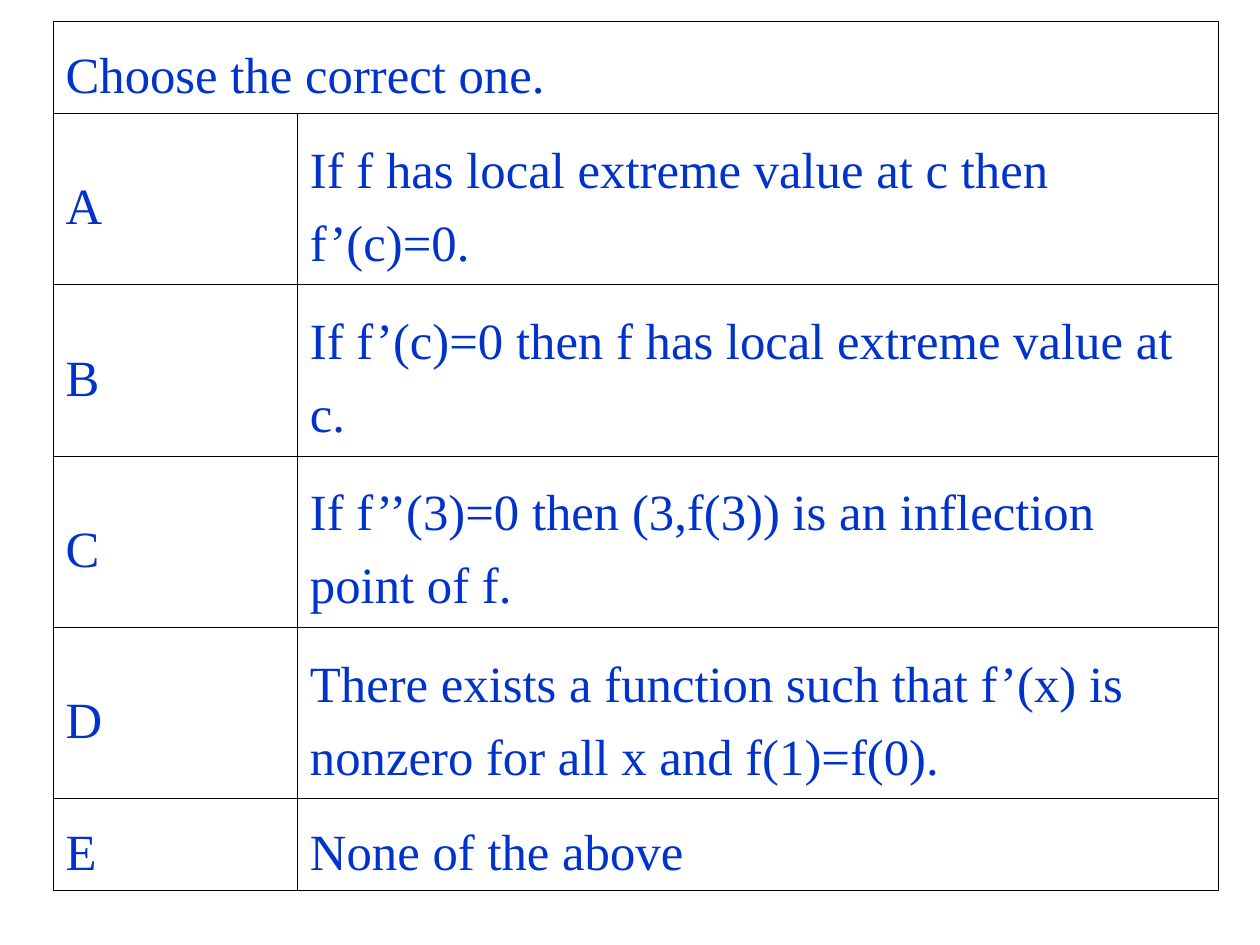
from typing import NamedTuple

from lxml.etree import SubElement
from pptx import Presentation
from pptx.dml.color import RGBColor
from pptx.enum.text import MSO_ANCHOR
from pptx.oxml.ns import qn
from pptx.util import Inches, Pt

BLUE = RGBColor(0x00, 0x33, 0xCC)
BLACK = RGBColor(0x00, 0x00, 0x00)
FONT = "Times New Roman"
FONT_SIZE = Pt(29)
LINE_SPACING = 1.3
BORDER_WIDTH = Pt(0.45)

LEFT, TOP = 0.42, 0.17
COLUMN_WIDTHS = (1.94, 7.31)
ONE_LINE, TWO_LINES = 0.73, 1.36


class Choice(NamedTuple):
    letter: str
    statement: str
    height: float = TWO_LINES


QUESTION = "Choose the correct one."
CHOICES = (
    Choice("A", "If f has local extreme value at c then f’(c)=0."),
    Choice("B", "If f’(c)=0 then f has local extreme value at c."),
    Choice("C", "If f’’(3)=0 then (3,f(3)) is an inflection point of f."),
    Choice("D", "There exists a function such that f’(x) is nonzero for all x and f(1)=f(0)."),
    Choice("E", "None of the above", ONE_LINE),
)


def add_borders(cell) -> None:
    """Outline all four sides; call before setting the fill, which must follow the lines."""
    tc_pr = cell._tc.get_or_add_tcPr()
    for side in ("a:lnL", "a:lnR", "a:lnT", "a:lnB"):
        ln = SubElement(tc_pr, qn(side), w=str(int(BORDER_WIDTH)))
        fill = SubElement(ln, qn("a:solidFill"))
        SubElement(fill, qn("a:srgbClr"), val=str(BLACK))


def format_cell(cell) -> None:
    add_borders(cell)
    cell.fill.background()
    cell.vertical_anchor = MSO_ANCHOR.MIDDLE
    cell.margin_left = cell.margin_right = Inches(0.1)
    cell.margin_top = cell.margin_bottom = Inches(0.05)


def write_cell(cell, text: str) -> None:
    p = cell.text_frame.paragraphs[0]
    p.line_spacing = LINE_SPACING
    r = p.add_run()
    r.text = text
    r.font.name = FONT
    r.font.size = FONT_SIZE
    r.font.color.rgb = BLUE


def add_question_table(slide) -> None:
    heights = [ONE_LINE] + [choice.height for choice in CHOICES]
    table = slide.shapes.add_table(
        len(heights), len(COLUMN_WIDTHS), Inches(LEFT), Inches(TOP),
        Inches(sum(COLUMN_WIDTHS)), Inches(sum(heights)),
    ).table
    table.first_row = table.horz_banding = False
    for column, width in zip(table.columns, COLUMN_WIDTHS):
        column.width = Inches(width)
    for row, height in zip(table.rows, heights):
        row.height = Inches(height)
    for cell in table.iter_cells():
        format_cell(cell)

    table.cell(0, 0).merge(table.cell(0, 1))
    write_cell(table.cell(0, 0), QUESTION)
    for i, choice in enumerate(CHOICES, start=1):
        write_cell(table.cell(i, 0), choice.letter)
        write_cell(table.cell(i, 1), choice.statement)


def main() -> None:
    prs = Presentation()
    prs.slide_width, prs.slide_height = Inches(10), Inches(7.5)
    blank_layout = prs.slide_layouts[6]
    add_question_table(prs.slides.add_slide(blank_layout))
    prs.save("out.pptx")


if __name__ == "__main__":
    main()
